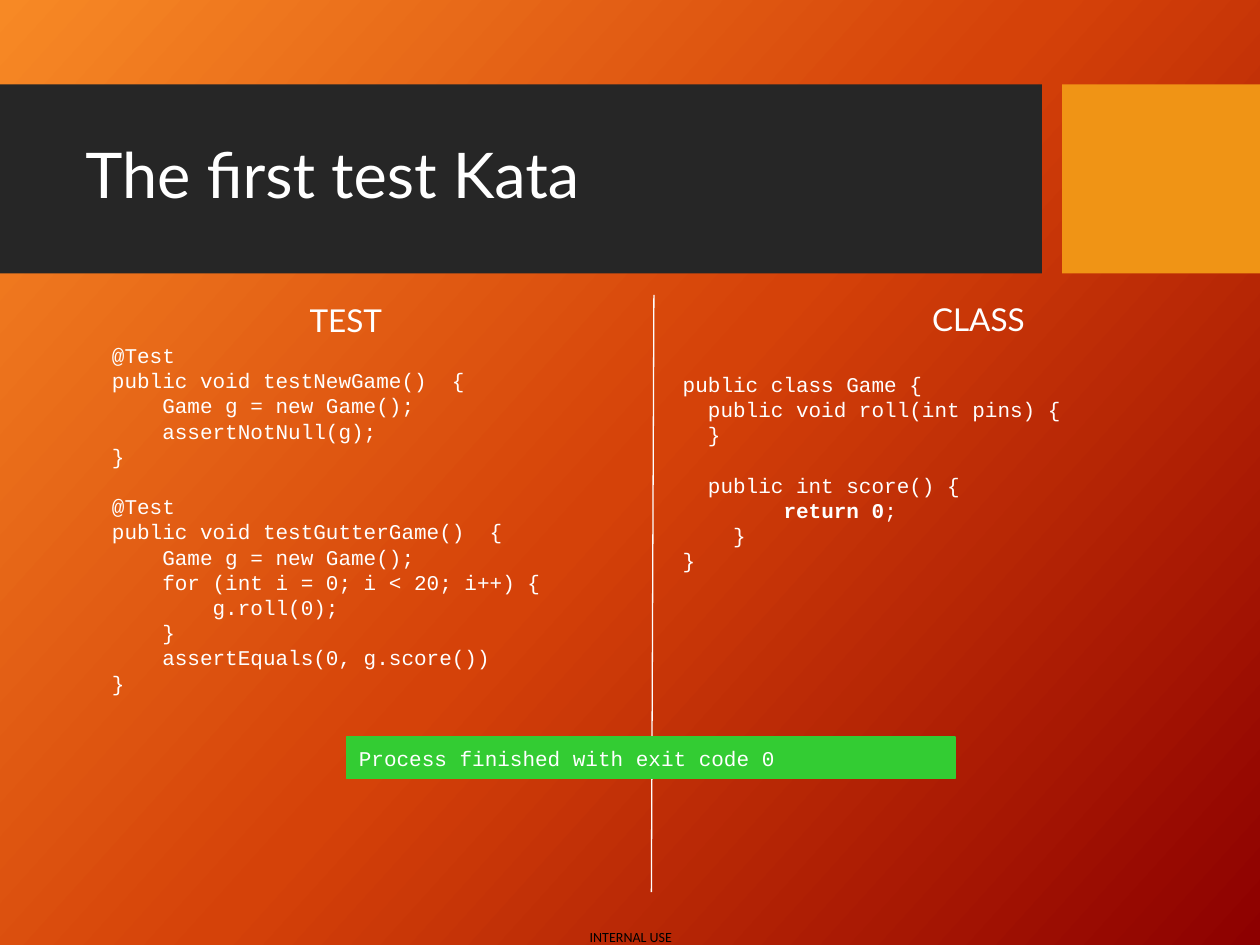
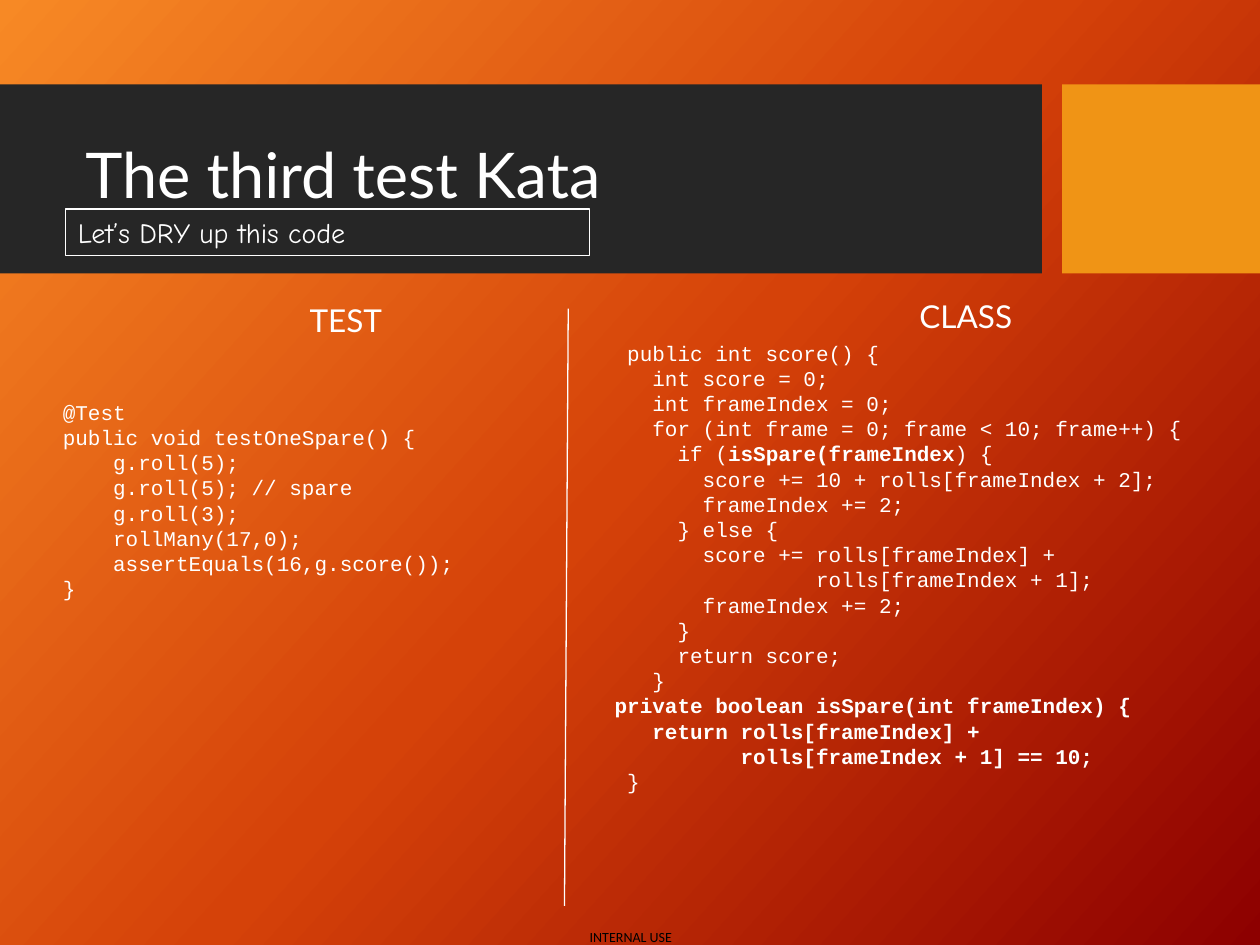
"""Build two slides that show a test and its class side by side."""
from copy import deepcopy

from lxml import etree
from pptx import Presentation
from pptx.dml.color import RGBColor
from pptx.enum.shapes import MSO_CONNECTOR, MSO_SHAPE
from pptx.enum.text import MSO_ANCHOR, PP_ALIGN
from pptx.oxml.ns import qn
from pptx.util import Inches, Pt

RECTANGLE = MSO_SHAPE.RECTANGLE
STRAIGHT = MSO_CONNECTOR.STRAIGHT
TOP, MIDDLE = MSO_ANCHOR.TOP, MSO_ANCHOR.MIDDLE
LEFT, CENTER = PP_ALIGN.LEFT, PP_ALIGN.CENTER

COLORS = {
    "light": "F78925",
    "mid": "D54209",
    "deep": "8D0000",
    "band": "262626",
    "accent": "F09415",
    "pass": "33CC33",
    "text": "FFFFFF",
    "footer": "000000",
}
GRADIENT = [("light", 0), ("mid", 0.5), ("deep", 1)]
GRADIENT_ANGLE = 42
BODY_FONT, CODE_FONT, NOTE_FONT, FOOTER_FONT = "Lato", "Courier New", "Comic Neue", "Calibri"
CODE_SIZE = 12
CODE_LINE = 14.4
BOLD_MARK = "**"

FIRST_TEST = """\
    @Test
    public void testNewGame()  {
        Game g = new Game();
        assertNotNull(g);
    }

    @Test
    public void testGutterGame()  {
        Game g = new Game();
        for (int i = 0; i < 20; i++) {
            g.roll(0);
        }
        assertEquals(0, g.score())
    }"""

FIRST_CLASS = """\
public class Game {
  public void roll(int pins) {
  }

  public int score() {
        **return 0**;
    }
}"""

THIRD_TEST = """\
    @Test
    public void testOneSpare() {
        g.roll(5);
        g.roll(5); // spare
        g.roll(3);
        rollMany(17,0);
        assertEquals(16,g.score());
    }"""

THIRD_CLASS = """\
  public int score() {
    int score = 0;
    int frameIndex = 0;
    for (int frame = 0; frame < 10; frame++) {
      if (**isSpare(frameIndex**) {
        score += 10 + rolls[frameIndex + 2];
        frameIndex += 2;
      } else {
        score += rolls[frameIndex] +
                 rolls[frameIndex + 1];
        frameIndex += 2;
      }
      return score;
    }
 **private boolean isSpare(int frameIndex) {**
**    return rolls[frameIndex] +**
**           rolls[frameIndex + 1] == 10;**
  }"""


def color(name):
    return RGBColor.from_string(COLORS[name])


class KataDeck:
    def __init__(self):
        self.deck = Presentation()
        self.deck.slide_width = Inches(10)
        self.deck.slide_height = Inches(7.5)
        self.page = None

    def add_page(self, title):
        self.page = self.deck.slides.add_slide(self.deck.slide_layouts[6])
        self.paint_background()
        self.footer("INTERNAL USE")
        self.rectangle(0, 0.67, 8.27, 1.5, fill="band")
        self.rectangle(8.43, 0.67, 1.57, 1.5, fill="accent")
        box = self.text_box(0.58, 0.82, 7.54, 1.18, anchor=MIDDLE)
        self.set_text(box, title, BODY_FONT, 36).line_spacing = 0.9

    def paint_background(self):
        fill = self.page.background.fill
        fill.gradient()
        fill.gradient_angle = 360 - GRADIENT_ANGLE
        stop_list = next(self.page.element.iter(qn("a:gsLst")))
        stop_list.append(deepcopy(stop_list[0]))
        for stop, (name, position) in zip(fill.gradient_stops, GRADIENT):
            stop.color.rgb = color(name)
            stop.position = position

    def text_box(self, left, top, width, height, anchor=TOP):
        box = self.page.shapes.add_textbox(
            Inches(left), Inches(top), Inches(width), Inches(height))
        box.text_frame.word_wrap = True
        box.text_frame.vertical_anchor = anchor
        return box

    def rectangle(self, left, top, width, height, fill=None, line=None):
        box = self.page.shapes.add_shape(
            RECTANGLE, Inches(left), Inches(top), Inches(width), Inches(height))
        box.shadow.inherit = False
        if fill:
            box.fill.solid()
            box.fill.fore_color.rgb = color(fill)
        else:
            box.fill.background()
        if line:
            box.line.color.rgb = color(line)
            box.line.width = Pt(0.75)
        else:
            box.line.fill.background()
        return box

    def style(self, para, font, size, ink="text", align=LEFT):
        para.alignment = align
        para.font.name = font
        para.font.size = Pt(size)
        para.font.color.rgb = color(ink)

    def set_text(self, box, text, font, size, ink="text", align=LEFT):
        para = box.text_frame.paragraphs[0]
        para.text = text
        self.style(para, font, size, ink, align)
        return para

    def footer(self, text):
        box = self.text_box(4.68, 7.37, 0.67, 0.13)
        frame = box.text_frame
        frame.word_wrap = False
        frame.margin_left = frame.margin_right = 0
        frame.margin_top = frame.margin_bottom = 0
        self.set_text(box, text, FOOTER_FONT, 8, "footer")

    def heading(self, text, left, top):
        box = self.text_box(left, top, 2.33, 0.4)
        self.set_text(box, text, BODY_FONT, 18, align=CENTER)

    def code(self, source, left, top, width, height):
        frame = self.text_box(left, top, width, height).text_frame
        para, gap = None, 0
        for line in source.split("\n"):
            if not line:
                gap += CODE_LINE
                continue
            para = frame.add_paragraph() if para else frame.paragraphs[0]
            for index, part in enumerate(line.split(BOLD_MARK)):
                if part:
                    span = para.add_run()
                    span.text = part
                    span.font.bold = index % 2 == 1
            self.style(para, CODE_FONT, CODE_SIZE)
            if gap:
                para.space_before = Pt(gap)
                gap = 0

    def divider(self, start, end):
        line = self.page.shapes.add_connector(
            STRAIGHT, *(Inches(value) for value in start + end))
        line.line.color.rgb = color("text")
        line.line.width = Pt(0.75)
        etree.SubElement(line.element.spPr, qn("a:effectLst"))

    def label(self, text, area, font, size, fill=None, line="text"):
        box = self.rectangle(*area, fill=fill, line=line)
        box.text_frame.word_wrap = True
        box.text_frame.vertical_anchor = MIDDLE
        self.set_text(box, text, font, size)


def main():
    kata = KataDeck()

    kata.add_page("The first test Kata")
    kata.code(FIRST_TEST, 0.39, 2.67, 4.42, 2.93)
    kata.divider((5.19, 2.34), (5.17, 7.08))
    kata.code(FIRST_CLASS, 5.32, 2.9, 4.42, 1.87)
    kata.heading("TEST", 1.58, 2.34)
    kata.heading("CLASS", 6.6, 2.33)
    kata.label("Process finished with exit code 0", (2.75, 5.85, 4.83, 0.33),
               CODE_FONT, CODE_SIZE, fill="pass", line="pass")

    kata.add_page("The third test Kata")
    kata.code(THIRD_TEST, 0, 3.12, 4.51, 1.72)
    kata.divider((4.51, 2.45), (4.48, 7.19))
    kata.code(THIRD_CLASS, 4.68, 2.65, 4.9, 3.89)
    kata.heading("TEST", 1.58, 2.34)
    kata.heading("CLASS", 6.5, 2.31)
    kata.label("Let’s DRY up this code", (0.52, 1.66, 4.16, 0.37), NOTE_FONT, 16)

    kata.deck.save("out.pptx")


if __name__ == "__main__":
    main()
